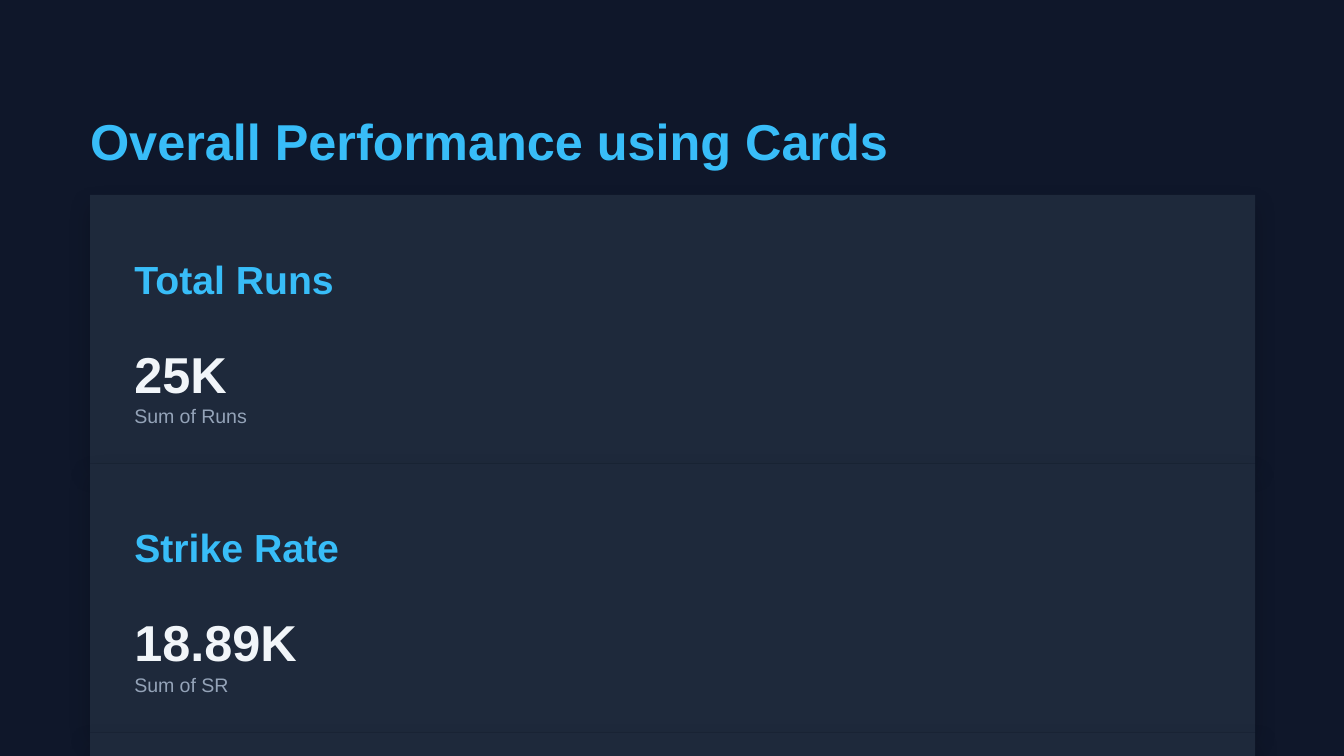
from lxml import etree
from pptx import Presentation
from pptx.dml.color import RGBColor
from pptx.enum import shapes, text
from pptx.oxml import ns
from pptx.util import Inches, Pt

HUES = {"back": "0F172A", "card": "1E293B", "head": "38BDF8",
        "value": "F1F5F9", "note": "94A3B8", "shade": "000000"}
CARDS = [("Total Runs", "25K", "Sum of Runs"),
         ("Strike Rate", "18.89K", "Sum of SR"),
         None]  # the last card is cut by the slide's edge
# For each line of a card: top offset, height, size, line spacing, colour, bold
LINES = [(0.33, 0.35, 21, 33.6, "head", True),
         (0.85, 0.52, 27, 50.4, "value", True),
         (1.46, 0.2, 10.5, 19.6, "note", False)]


def rgb(name):
    return RGBColor.from_string(HUES[name])


def write(frame, words, size, pitch, hue, bold):
    frame.word_wrap = True
    frame.auto_size = text.MSO_AUTO_SIZE.NONE
    frame.vertical_anchor = text.MSO_ANCHOR.TOP
    frame.margin_left = frame.margin_right = 0
    frame.margin_top = frame.margin_bottom = 0
    para = frame.paragraphs[0]
    para.alignment = text.PP_ALIGN.LEFT
    para.line_spacing = Pt(pitch)
    run = para.add_run()
    run.text = words
    font = run.font
    font.name, font.size, font.bold = "Arial", Pt(size), bold
    font.color.rgb = rgb(hue)


def shade(shape):
    """Give the shape a soft shadow that falls straight down."""
    shape.shadow.inherit = False
    effects = shape.element.spPr.find(ns.qn("a:effectLst"))
    outer = etree.SubElement(effects, ns.qn("a:outerShdw"), blurRad=str(Pt(12)),
                             dist=str(Pt(6)), dir="5400000", algn="ctr",
                             rotWithShape="0")
    color = etree.SubElement(outer, ns.qn("a:srgbClr"), val=HUES["shade"])
    etree.SubElement(color, ns.qn("a:alpha"), val="20000")


def add_title(slide, left, top, width, height):
    title = slide.shapes.title
    title.left, title.top = Inches(left), Inches(top)
    title.width, title.height = Inches(width), Inches(height)
    write(title.text_frame, "Overall Performance using Cards", 27, 43.2, "head", True)


def add_card(slide, left, top, width, height):
    card = slide.shapes.add_shape(shapes.MSO_SHAPE.RECTANGLE, Inches(left),
                                  Inches(top), Inches(width), Inches(height))
    card.fill.solid()
    card.fill.fore_color.rgb = rgb("card")
    card.line.fill.background()
    shade(card)


def add_lines(slide, left, top, width, words):
    for line, (drop, height, *style) in zip(words, LINES):
        box = slide.shapes.add_textbox(Inches(left + 0.33), Inches(top + drop),
                                       Inches(width - 0.51), Inches(height))
        write(box.text_frame, line, *style)


def main():
    deck = Presentation()
    deck.slide_width = Inches(10)
    deck.slide_height = deck.slide_width * 9 // 16
    slide = deck.slides.add_slide(deck.slide_layouts[5])
    slide.background.fill.solid()
    slide.background.fill.fore_color.rgb = rgb("back")

    # Title
    add_title(slide, 0.67, 0.67, 8.84, 0.45)

    # Stacked cards, then their wording above all shadows
    left, top, width, height = 0.67, 1.45, 8.67, 2
    tops = [top + i * height for i in range(len(CARDS))]
    for y in tops:
        add_card(slide, left, y, width, height)
    for y, words in zip(tops, CARDS):
        if words:
            add_lines(slide, left, y, width, words)

    deck.save("out.pptx")


if __name__ == "__main__":
    main()
